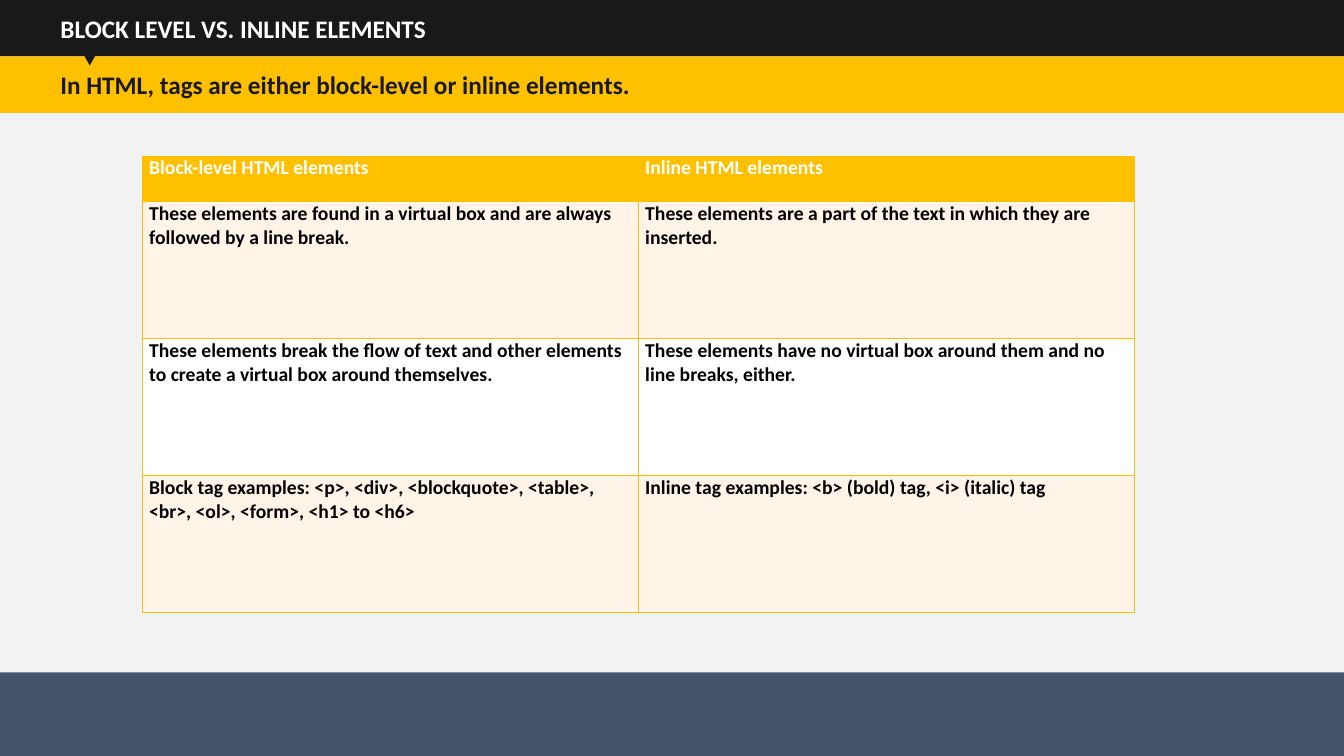
import pptx
import pptx.dml.color
import pptx.enum.shapes
import pptx.enum.text
import pptx.oxml
import pptx.oxml.ns
import pptx.util
from pptx.util import Inches

COLOURS = {
    "paper": "F2F2F2",
    "footer": "44546A",
    "dark": "191919",
    "accent": "FFC000",
    "tint": "FFF4E7",
    "white": "FFFFFF",
    "black": "000000",
}
SLIDE_WIDTH, SLIDE_HEIGHT = 13.33, 7.5
BAR_HEIGHT = 0.56
FOOTER_TOP = 6.67
TABLE_TOP, COLUMN_WIDTH = 1.55, 4.92
ROW_HEIGHTS = [0.45, 1.36, 1.36, 1.36]

BLOCK_LEVEL = [
    "Block-level HTML elements",
    "These elements are found in a virtual box and are always followed by a line break.",
    "These elements break the flow of text and other elements to create a virtual box "
    "around themselves.",
    "Block tag examples: <p>, <div>, <blockquote>, <table>, <br>, <ol>, <form>, <h1> to <h6>",
]
INLINE = [
    "Inline HTML elements",
    "These elements are a part of the text in which they are inserted.",
    "These elements have no virtual box around them and no line breaks, either.",
    "Inline tag examples: <b> (bold) tag, <i> (italic) tag",
]


def paint(fill, colour):
    fill.solid()
    fill.fore_color.rgb = pptx.dml.color.RGBColor.from_string(COLOURS[colour])


def write(frame, text, size, colour):
    para = frame.paragraphs[0]
    para.alignment = pptx.enum.text.PP_ALIGN.LEFT
    span = para.add_run()
    span.text = text
    span.font.name = "Calibri"
    span.font.size = pptx.util.Pt(size)
    span.font.bold = True
    paint(span.font.fill, colour)


def add_block(page, kind, left, top, width, height, colour):
    block = page.shapes.add_shape(
        kind, Inches(left), Inches(top), Inches(width), Inches(height))
    block.shadow.inherit = False
    paint(block.fill, colour)
    block.line.fill.background()
    return block


def add_band(page, top, height, colour):
    kind = pptx.enum.shapes.MSO_SHAPE.RECTANGLE
    return add_block(page, kind, 0, top, SLIDE_WIDTH, height, colour)


def write_bar(bar, text, colour):
    frame = bar.text_frame
    frame.word_wrap = True
    frame.auto_size = pptx.enum.text.MSO_AUTO_SIZE.NONE
    frame.vertical_anchor = pptx.enum.text.MSO_ANCHOR.MIDDLE
    frame.margin_left = Inches(0.6)
    write(frame, text, 18, colour)


def add_title(page, text):
    title = page.shapes.title
    title.left, title.top = Inches(0), Inches(0)
    title.width, title.height = Inches(SLIDE_WIDTH), Inches(BAR_HEIGHT)
    paint(title.fill, "dark")
    write_bar(title, text, "white")
    # Bring the title in front of the background bands
    title.element.getparent().append(title.element)


def add_borders(cell, colour):
    properties = cell._tc.get_or_add_tcPr()
    for side in ("lnL", "lnR", "lnT", "lnB"):
        properties.append(pptx.oxml.parse_xml(
            f'<a:{side} {pptx.oxml.ns.nsdecls("a")} w="12700"><a:solidFill>'
            f'<a:srgbClr val="{COLOURS[colour]}"/></a:solidFill></a:{side}>'))


def add_column_table(page, left, texts):
    table = page.shapes.add_table(
        len(texts), 1, Inches(left), Inches(TABLE_TOP),
        Inches(COLUMN_WIDTH), Inches(sum(ROW_HEIGHTS))).table
    table.horz_banding = False
    for index, (text, height) in enumerate(zip(texts, ROW_HEIGHTS)):
        table.rows[index].height = Inches(height)
        cell = table.cell(index, 0)
        cell.margin_left = cell.margin_right = Inches(0.07)
        cell.margin_top = cell.margin_bottom = 0
        add_borders(cell, "accent")
        if index == 0:
            fill, ink = "accent", "white"
        else:
            fill, ink = ("tint" if index % 2 else "white"), "black"
        paint(cell.fill, fill)
        write(cell.text_frame, text, 14, ink)


def main():
    deck = pptx.Presentation()
    deck.slide_width = Inches(SLIDE_WIDTH)
    deck.slide_height = Inches(SLIDE_HEIGHT)
    page = deck.slides.add_slide(deck.slide_layouts.get_by_name("Title Only"))

    # Background and footer
    add_band(page, 0, FOOTER_TOP, "paper")
    add_band(page, FOOTER_TOP, SLIDE_HEIGHT - FOOTER_TOP, "footer")

    # Title, subtitle and pointer
    add_title(page, "BLOCK LEVEL VS. INLINE ELEMENTS")
    subtitle = add_band(page, BAR_HEIGHT, BAR_HEIGHT, "accent")
    write_bar(subtitle, "In HTML, tags are either block-level or inline elements.", "dark")
    pointer = add_block(page, pptx.enum.shapes.MSO_SHAPE.ISOSCELES_TRIANGLE,
                        0.8, 0.49, 0.18, 0.16, "dark")
    pointer.rotation = 180

    # Comparison tables, side by side
    for index, texts in enumerate((BLOCK_LEVEL, INLINE)):
        add_column_table(page, 1.41 + index * COLUMN_WIDTH, texts)

    deck.save("out.pptx")


if __name__ == "__main__":
    main()
